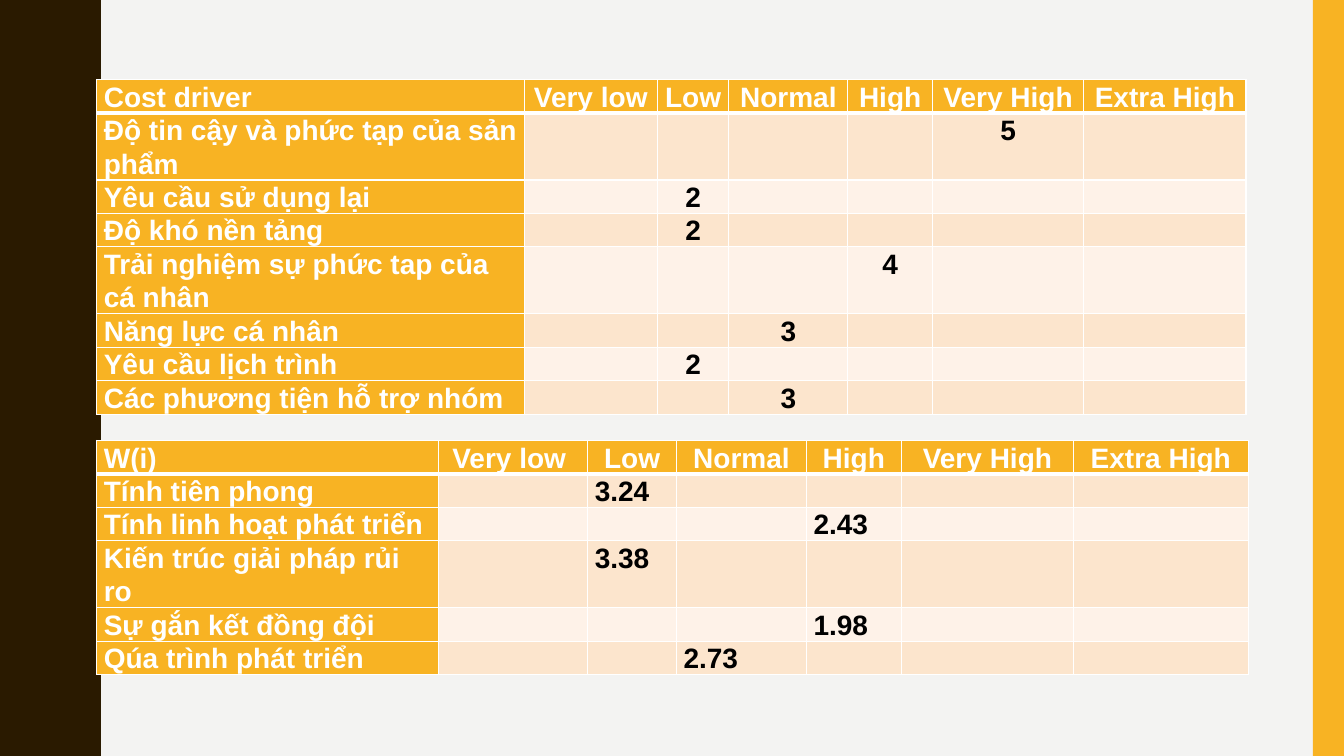
from lxml import etree
from pptx import Presentation
from pptx.dml.color import RGBColor
from pptx.enum.shapes import MSO_SHAPE as Shape
from pptx.enum.text import PP_ALIGN as Align
from pptx.oxml.ns import qn
from pptx.util import Inches, Pt

CREAM, BROWN, AMBER = "F3F3F2", "2A1A00", "F8B323"
PEACH, PALE_PEACH, WHITE, BLACK = "FCE5CD", "FEF2E8", "FFFFFF", "000000"

LEVELS = ["Very low ", "Low", "Normal", "High", "Very High", "Extra High"]
LOW, NORMAL, HIGH, VERY_HIGH = 2, 3, 4, 5  # table columns

# Each row: label, column of its rating, rating
COST_DRIVERS = [
    ("Độ tin cậy và phức tạp của sản phẩm", VERY_HIGH, "5"),
    ("Yêu cầu sử dụng lại", LOW, "2"),
    ("Độ khó nền tảng", LOW, "2"),
    ("Trải nghiệm sự phức tap của cá nhân", HIGH, "4"),
    ("Năng lực cá nhân", NORMAL, "3"),
    ("Yêu cầu lịch trình", LOW, "2"),
    ("Các phương tiện hỗ trợ nhóm", NORMAL, "3"),
]
SCALE_WEIGHTS = [
    ("Tính tiên phong", LOW, "3.24"),
    ("Tính linh hoạt phát triển", HIGH, "2.43"),
    ("Kiến trúc giải pháp rủi ro", LOW, "3.38"),
    ("Sự gắn kết đồng đội", HIGH, "1.98"),
    ("Qúa trình phát triển", NORMAL, "2.73"),
]
COST_WIDTHS = [4.24, 1.32, 0.71, 1.18, 0.84, 1.5, 1.61]
WEIGHT_WIDTHS = [3.39, 1.48, 0.88, 1.29, 0.94, 1.71, 1.73]

# Half a wave of the left edge, going outwards: x, y
HALF_WAVE = [
    (0.78, 0.07), (0.79, 0.14), (0.8, 0.2), (0.81, 0.25), (0.83, 0.29),
    (0.85, 0.33), (0.87, 0.38), (0.89, 0.42), (0.91, 0.46), (0.93, 0.5),
    (0.95, 0.55), (0.96, 0.61), (0.97, 0.68), (0.97, 0.75),
]
HALF_HEIGHT, HALF_COUNT = 0.75, 10
WAVE_LEFT, WAVE_RIGHT = 0.78, 0.97


def paint(fill, color):
    fill.solid()
    fill.fore_color.rgb = RGBColor.from_string(color)


def finish_shape(shape, color):
    paint(shape.fill, color)
    shape.line.fill.background()
    shape.shadow.inherit = False


def add_wavy_edge(slide):
    edge = [(WAVE_LEFT, 0)]
    for half in range(HALF_COUNT):
        for x, y in HALF_WAVE:
            inward = half % 2 == 1
            edge.append((WAVE_LEFT + WAVE_RIGHT - x if inward else x,
                         half * HALF_HEIGHT + y))
    edge.append((0, HALF_COUNT * HALF_HEIGHT))
    builder = slide.shapes.build_freeform(0, 0, scale=Inches(1))
    builder.add_line_segments(edge, close=True)
    finish_shape(builder.convert_to_shape(), BROWN)


def add_side_bar(slide):
    bar = slide.shapes.add_shape(Shape.RECTANGLE, Inches(13.02), 0,
                                 Inches(0.31), Inches(7.5))
    finish_shape(bar, AMBER)


def set_borders(cell, top, bottom):
    """White borders; top and bottom widths in points."""
    properties = cell._tc.get_or_add_tcPr()
    sides = [("a:lnL", 1), ("a:lnR", 1), ("a:lnT", top), ("a:lnB", bottom)]
    for place, (side, width) in enumerate(sides):
        line = etree.Element(qn(side), w=str(Pt(width)))
        fill = etree.SubElement(line, qn("a:solidFill"))
        etree.SubElement(fill, qn("a:srgbClr"), val=WHITE)
        properties.insert(place, line)


def fill_cell(cell, text, background, color, align):
    paint(cell.fill, background)
    cell.margin_left = cell.margin_right = Inches(0.07)
    cell.margin_top = cell.margin_bottom = 0
    paragraph = cell.text_frame.paragraphs[0]
    if text:
        paragraph.text = text
    paragraph.alignment = align
    paragraph.line_spacing = 1.07
    font = paragraph.font
    font.name, font.size, font.bold = "Arial", Pt(20), True
    font.color.rgb = RGBColor.from_string(color)


def add_rating_table(slide, top, title, ratings, widths, rating_align):
    row_count = len(ratings) + 1
    table = slide.shapes.add_table(
        row_count, len(widths), Inches(0.96), Inches(top),
        Inches(sum(widths)), Inches(0.33 * row_count)).table
    for column, width in zip(table.columns, widths):
        column.width = Inches(width)

    # Header row
    for col, heading in enumerate([title] + LEVELS):
        cell = table.cell(0, col)
        fill_cell(cell, heading, AMBER, WHITE,
                  Align.CENTER if col else Align.LEFT)
        set_borders(cell, 1, 3)

    # One rating a row, in banded rows
    for row, (label, rated_col, rating) in enumerate(ratings, start=1):
        band = PEACH if row % 2 else PALE_PEACH
        for col in range(len(widths)):
            cell = table.cell(row, col)
            if col == 0:
                fill_cell(cell, label, AMBER, WHITE, Align.LEFT)
            else:
                fill_cell(cell, rating if col == rated_col else "",
                          band, BLACK, rating_align)
            set_borders(cell, 3 if row == 1 else 1, 1)


def main():
    deck = Presentation()
    deck.slide_width, deck.slide_height = Inches(13.33), Inches(7.5)
    slide = deck.slides.add_slide(deck.slide_layouts[6])
    paint(slide.background.fill, CREAM)

    add_wavy_edge(slide)
    add_side_bar(slide)
    add_rating_table(slide, 0.79, "Cost driver", COST_DRIVERS, COST_WIDTHS,
                     Align.CENTER)
    add_rating_table(slide, 4.37, "W(i)", SCALE_WEIGHTS, WEIGHT_WIDTHS,
                     Align.LEFT)
    deck.save("out.pptx")


if __name__ == "__main__":
    main()
